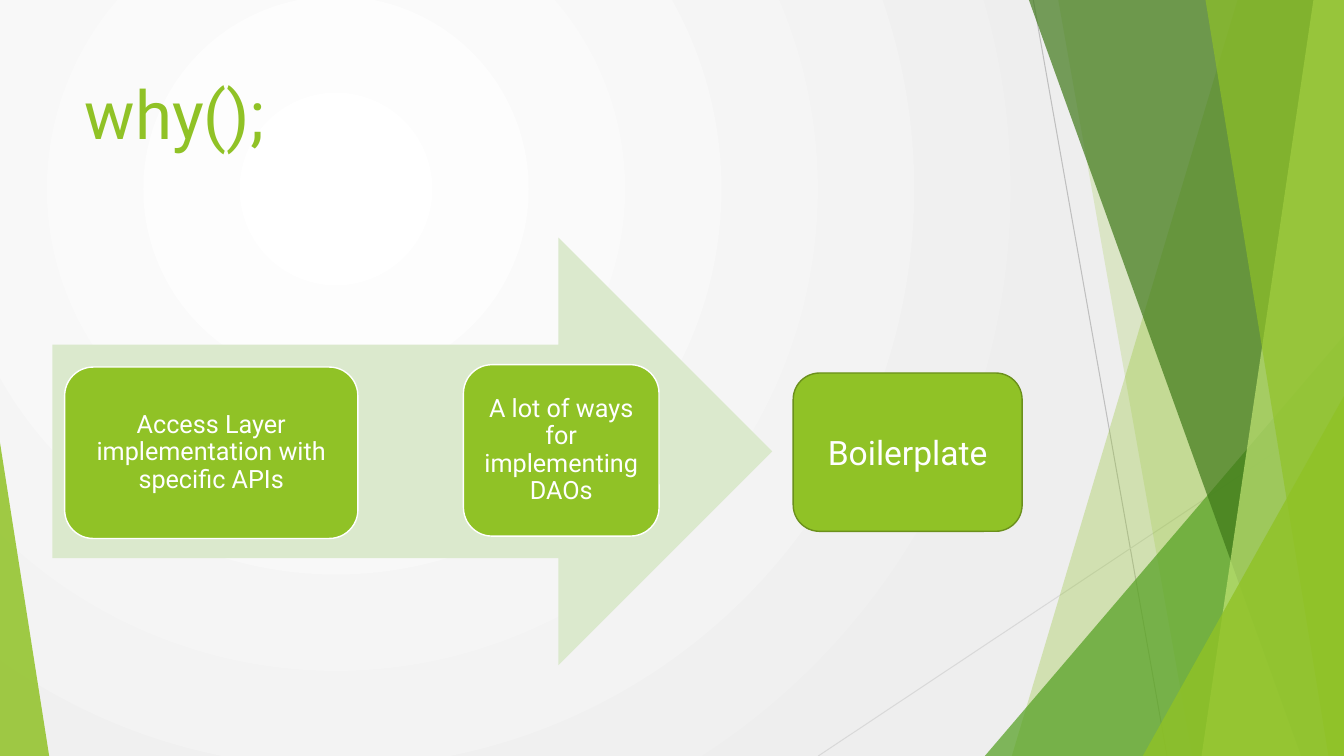
from typing import NamedTuple, Union

from lxml.etree import SubElement
from pptx import Presentation
from pptx.dml.color import RGBColor
from pptx.enum.shapes import MSO_CONNECTOR, MSO_SHAPE
from pptx.enum.text import MSO_ANCHOR, MSO_AUTO_SIZE, PP_ALIGN
from pptx.oxml.ns import qn
from pptx.util import Cm, Pt

WIDTH, HEIGHT = 33.87, 19.05  # all lengths are in centimetres
FONT = "Roboto"
WHITE = RGBColor(0xFF, 0xFF, 0xFF)
PALE_GREY = RGBColor(0xEE, 0xEE, 0xEE)
MID_GREY = RGBColor(0xBF, 0xBF, 0xBF)
LIGHT_GREY = RGBColor(0xD9, 0xD9, 0xD9)
GREEN = RGBColor(0x90, 0xC2, 0x26)
LEAF = RGBColor(0x54, 0xA0, 0x21)
FOREST = RGBColor(0x3F, 0x78, 0x19)
LIME = RGBColor(0xC0, 0xE4, 0x74)
PALE_GREEN = RGBColor(0xDB, 0xE9, 0xCD)
OLIVE = RGBColor(0x6B, 0x90, 0x1C)


class Band(NamedTuple):
    """Full-height facet from a slanted left edge to the slide's right edge."""
    top_x: float
    bottom_x: float
    color: RGBColor
    opacity: int


class Corner(NamedTuple):
    """Right triangle standing on the slide's bottom edge."""
    left: float
    top: float
    width: float
    apex: float
    color: RGBColor
    opacity: int


class Box(NamedTuple):
    """Rounded box with a centred caption."""
    left: float
    top: float
    width: float
    height: float
    text: str
    size: int
    spacing: float
    outline: RGBColor


RAYS = [
    (26.04, 0, 29.41, HEIGHT, MID_GREY),
    (WIDTH, 10.24, 20.62, HEIGHT, LIGHT_GREY),
]
FACETS = [
    Band(31.19, 25.5, GREEN, 30),
    Band(26.67, 30.05, GREEN, 20),
    Corner(24.82, 8.46, 9.05, 1, LEAF, 72),
    Band(25.93, 32.79, FOREST, 70),
    Band(33.1, 30.28, LIME, 70),
    Band(30.38, 33.48, GREEN, 65),
    Corner(28.8, 9.98, 5.07, 1, GREEN, 80),
    Corner(0, 11.15, 1.24, 0, GREEN, 85),
]
BOXES = [
    Box(1.63, 9.25, 7.39, 4.32, "Access Layer implementation with specific APIs",
        18, 0.9, WHITE),
    Box(11.68, 9.19, 4.93, 4.32, "A lot of ways for implementing DAOs",
        18, 0.9, WHITE),
    Box(19.99, 9.4, 5.77, 3.99, "Boilerplate", 24, 1.0, OLIVE),
]


def paint_background(slide) -> None:
    """Fill the background with a radial gradient centred at upper left."""
    fill = slide.background.fill
    fill.gradient()
    for stop, color in zip(fill.gradient_stops, (WHITE, PALE_GREY)):
        stop.color.rgb = color
    grad = slide.element.find(".//" + qn("a:gradFill"))
    grad.remove(grad.find(qn("a:lin")))
    circle = SubElement(grad, qn("a:path"), {"path": "circle"})
    SubElement(circle, qn("a:fillToRect"),
               {"l": "50000", "t": "50000", "r": "100000", "b": "100000"})


def fill_plain(sp, color: RGBColor, opacity: int = 100) -> None:
    """Give a shape a solid fill, without outline or shadow."""
    sp.shadow.inherit = False
    sp.fill.solid()
    sp.fill.fore_color.rgb = color
    sp.line.fill.background()
    if opacity < 100:
        clr = sp.element.spPr.find(qn("a:solidFill"))[0]
        SubElement(clr, qn("a:alpha"), {"val": str(opacity * 1000)})


def add_ray(shapes, x1: float, y1: float, x2: float, y2: float,
            color: RGBColor) -> None:
    """Draw one thin decorative line."""
    line = shapes.add_connector(MSO_CONNECTOR.STRAIGHT,
                                Cm(x1), Cm(y1), Cm(x2), Cm(y2))
    line.line.color.rgb = color
    line.line.width = Pt(0.75)
    SubElement(line.element.spPr, qn("a:effectLst"))


def add_facet(shapes, facet: Union[Band, Corner]) -> None:
    """Draw one translucent facet."""
    if isinstance(facet, Band):
        builder = shapes.build_freeform(Cm(facet.top_x), 0)
        builder.add_line_segments([(Cm(WIDTH), 0), (Cm(WIDTH), Cm(HEIGHT)),
                                   (Cm(facet.bottom_x), Cm(HEIGHT))])
        sp = builder.convert_to_shape()
    else:
        sp = shapes.add_shape(MSO_SHAPE.ISOSCELES_TRIANGLE, Cm(facet.left),
                              Cm(facet.top), Cm(facet.width),
                              Cm(HEIGHT - facet.top))
        sp.adjustments[0] = facet.apex
    fill_plain(sp, facet.color, facet.opacity)


def write(tf, text: str, size: int, color: RGBColor, align: PP_ALIGN,
          anchor: MSO_ANCHOR, spacing: float = 1.0) -> None:
    """Put one formatted paragraph in a text frame."""
    tf.word_wrap = True
    tf.auto_size = MSO_AUTO_SIZE.NONE
    tf.vertical_anchor = anchor
    tf.text = text
    p = tf.paragraphs[0]
    p.alignment = align
    p.line_spacing = spacing
    p.font.name = FONT
    p.font.size = Pt(size)
    p.font.color.rgb = color


def add_box(shapes, box: Box) -> None:
    """Draw one captioned rounded box."""
    sp = shapes.add_shape(MSO_SHAPE.ROUNDED_RECTANGLE, Cm(box.left),
                          Cm(box.top), Cm(box.width), Cm(box.height))
    fill_plain(sp, GREEN)
    sp.line.color.rgb = box.outline
    sp.line.width = Pt(1)
    tf = sp.text_frame
    tf.margin_left = tf.margin_right = tf.margin_top = tf.margin_bottom = Cm(0.18)
    write(tf, box.text, box.size, WHITE, PP_ALIGN.CENTER, MSO_ANCHOR.MIDDLE,
          box.spacing)


def add_title(title) -> None:
    """Place and format the title placeholder."""
    title.left, title.top = Cm(1.88), Cm(1.7)
    title.width, title.height = Cm(23.88), Cm(3.66)
    write(title.text_frame, "why();", 48, GREEN, PP_ALIGN.LEFT, MSO_ANCHOR.TOP)


def main() -> None:
    """Build and save the slide."""
    prs = Presentation()
    prs.slide_width, prs.slide_height = Cm(WIDTH), Cm(HEIGHT)
    slide = prs.slides.add_slide(prs.slide_layouts.get_by_name("Title Only"))
    shapes = slide.shapes
    paint_background(slide)
    add_title(shapes.title)
    for ray in RAYS:
        add_ray(shapes, *ray)
    for facet in FACETS:
        add_facet(shapes, facet)
    arrow = shapes.add_shape(MSO_SHAPE.RIGHT_ARROW,
                             Cm(1.32), Cm(5.99), Cm(18.14), Cm(10.77))
    fill_plain(arrow, PALE_GREEN)
    for box in BOXES:
        add_box(shapes, box)
    prs.save("out.pptx")


main()
